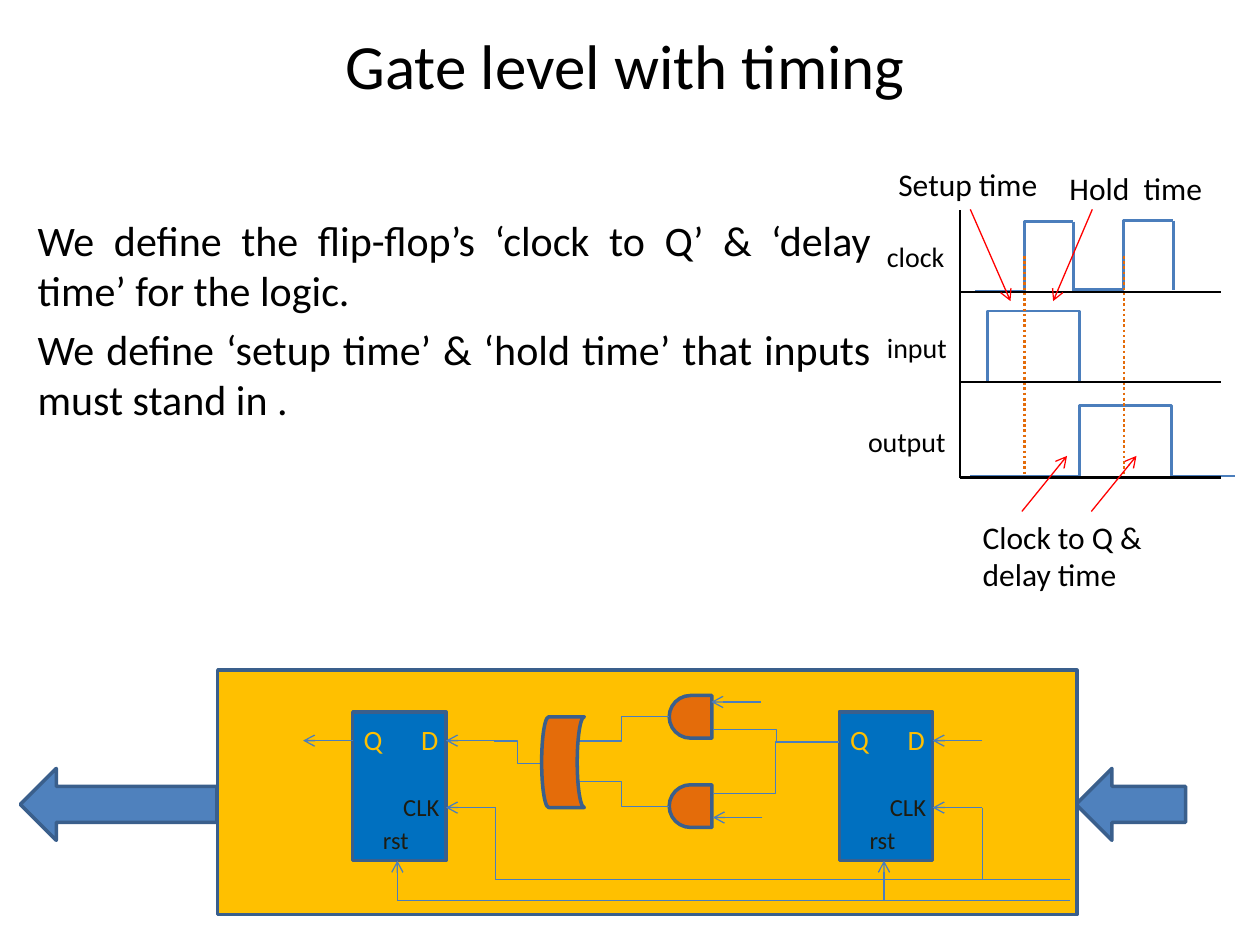
import pptx
import pptx.util
import pptx.dml.color
import pptx.enum.dml
import pptx.enum.shapes
import pptx.enum.text
import pptx.oxml
import pptx.oxml.ns

Cm, Pt = pptx.util.Cm, pptx.util.Pt
RGB = pptx.dml.color.RGBColor
KIND = pptx.enum.shapes.MSO_SHAPE
LINK = pptx.enum.shapes.MSO_CONNECTOR
ALIGN = pptx.enum.text.PP_ALIGN
ANCHOR = pptx.enum.text.MSO_ANCHOR

BLACK, RED = RGB(0, 0, 0), RGB(255, 0, 0)
BLUE, WIRE, EDGE = RGB(0x4F, 0x81, 0xBD), RGB(0x4B, 0x7E, 0xBC), RGB(0x3A, 0x5F, 0x8C)
GOLD, CHIP = RGB(0xFF, 0xC0, 0), RGB(0, 0x70, 0xC0)
ORANGE, DARK = RGB(0xE4, 0x6C, 0x0A), RGB(0x1E, 0x1C, 0x11)

# Content; all lengths in centimetres
TITLE = "Gate level with timing "
BODY = [
    "We define the flip-flop’s ‘clock to Q’ & ‘delay time’ for the logic.",
    "We define ‘setup time’ & ‘hold time’ that inputs must stand in .",
]
# Labels: lines, left, top, width, height, size
LABELS = [
    (["clock"], 17.63, 4.7, 1.68, 0.94, 16),
    (["input"], 17.63, 6.53, 1.73, 0.94, 16),
    (["output"], 17.25, 8.43, 2.08, 0.94, 16),
    (["Setup time"], 17.86, 3.2, 3.35, 1.02, 18),
    (["Hold  time"], 21.31, 3.28, 3.23, 1.02, 18),
    (["Clock to Q &", "delay time"], 19.56, 10.31, 3.91, 1.8, 18),
]
# Waves: x1, y1, x2, y2, place of the bend (None = straight)
WAVES = [
    (19.66, 5.87, 21.64, 4.47, 0.5), (21.64, 4.47, 21.64, 5.87, None),
    (21.64, 5.84, 23.65, 4.45, 0.5), (23.65, 4.45, 23.65, 5.84, None),
    (19.38, 7.7, 21.36, 6.27, 0.27), (20.75, 6.27, 23.5, 7.7, 0.37),
    (19.56, 9.6, 22.5, 8.18, 0.75), (22.5, 8.18, 24.89, 9.6, 0.47),
]
EDGES = [20.65, 22.66]
AXES = [9.63, 5.89, 7.7]
LEFT, RIGHT, TOP = 19.35, 24.61, 4.24
NOTES = [
    (19.56, 4.22, 20.37, 6.07), (22.02, 4.22, 21.23, 6.07),
    (20.6, 10.31, 21.51, 9.19), (22, 10.31, 22.91, 9.19),
]
ARROWS = [(0.41, 3.96), (21.69, 2.21)]
FLOPS = [7.11, 16.92]
FLOP_TOP, FLOP_W, FLOP_H = 14.35, 1.88, 3.0
# Pins: text, offset from the flip-flop, width, height, size, colour
PINS = [
    ("D", 1.13, 0.1, 0.86, 0.94, 16, GOLD),
    ("Q", -0.03, 0.1, 0.89, 0.94, 16, GOLD),
    ("CLK", 0.77, 1.5, 1.24, 0.86, 14, DARK),
    ("rst", 0.36, 2.15, 1.04, 0.86, 14, DARK),
]
GATE_X, GATE_W = 13.49, 0.86
GATES = [14.02, 15.82]
# Logic wires: x1, y1, x2, y2, bend
WIRES = [
    (13.49, 16.26, 11.56, 15.75, 0.5), (13.49, 14.45, 11.56, 14.94, 0.5),
    (9.96, 14.94, 10.92, 15.39, 0.5),
    (16.92, 14.96, 14.38, 14.71, 0.5), (16.79, 14.96, 14.38, 16, 0.48),
]
INPUTS = [(15.37, 16.48), (15.34, 14.15)]
D_Y, CLK_Y, CLK_BUS, RST_BUS, BUS_END = 14.93, 16.28, 17.73, 18.16, 21.56
STUB = 1.0

deck = pptx.Presentation()
deck.slide_width, deck.slide_height = Cm(25.4), Cm(19.05)
slide = deck.slides.add_slide(deck.slide_layouts[6])


def text(lines, x, y, w, h, size, color=BLACK, wrap=False, align=ALIGN.LEFT,
         anchor=ANCHOR.TOP, gap=0):
    box = slide.shapes.add_textbox(Cm(x), Cm(y), Cm(w), Cm(h))
    frame = box.text_frame
    frame.word_wrap, frame.vertical_anchor = wrap, anchor
    for i, line in enumerate(lines):
        par = frame.paragraphs[0] if i == 0 else frame.add_paragraph()
        par.alignment, par.space_before = align, Pt(gap)
        run = par.add_run()
        run.text = line
        run.font.name, run.font.size = "Calibri", Pt(size)
        run.font.color.rgb = color


def shape(kind, x, y, w, h, fill, turn=0):
    part = slide.shapes.add_shape(kind, Cm(x), Cm(y), Cm(w), Cm(h))
    part.shadow.inherit = False
    part.fill.solid()
    part.fill.fore_color.rgb = fill
    part.line.color.rgb, part.line.width = EDGE, Pt(2)
    part.rotation = turn


def line(x1, y1, x2, y2, bend=None, color=WIRE, width=0.75, head=False, dots=False):
    kind = LINK.STRAIGHT if bend is None else LINK.ELBOW
    link = slide.shapes.add_connector(kind, Cm(x1), Cm(y1), Cm(x2), Cm(y2))
    link.line.color.rgb, link.line.width = color, Pt(width)
    if dots:
        link.line.dash_style = pptx.enum.dml.MSO_LINE.ROUND_DOT
    props = link._element.spPr
    maker, qn = pptx.oxml.parse_xml, pptx.oxml.ns.qn
    space = pptx.oxml.ns.nsdecls("a")
    if bend is not None:
        geom = props.find(qn("a:prstGeom"))
        old = geom.find(qn("a:avLst"))
        if old is not None:
            geom.remove(old)
        geom.append(maker(f'<a:avLst {space}><a:gd name="adj1" '
                          f'fmla="val {round(bend * 100000)}"/></a:avLst>'))
    if head:
        props.find(qn("a:ln")).append(maker(f'<a:tailEnd {space} type="arrow"/>'))
    props.append(maker(f"<a:effectLst {space}/>"))


# Title and body
text([TITLE], 0.2, 0.1, 25.1, 2.41, 36, wrap=True, align=ALIGN.CENTER,
     anchor=ANCHOR.MIDDLE)
text(BODY, 0.51, 4.19, 17.3, 4.72, 24, wrap=True, align=ALIGN.JUSTIFY, gap=4.8)

# Timing chart
for wave in WAVES:
    line(*wave, width=1.5)
for x in EDGES:
    line(x, 5.16, x, 9.6, color=ORANGE, width=1.5, dots=True)
for y in AXES:
    line(LEFT, y, RIGHT, y, color=BLACK, width=1.5)
line(LEFT, AXES[0], LEFT, TOP, color=BLACK, width=1.5)
for label in LABELS:
    text(*label)
for note in NOTES:
    line(*note, color=RED, head=True)

# Circuit block, flip-flops and AND gates
for x, w in ARROWS:
    shape(KIND.RIGHT_ARROW, x, 15.49, w, 1.45, BLUE, 180)
shape(KIND.RECTANGLE, 4.39, 13.51, 17.32, 4.93, GOLD)
for x in FLOPS:
    shape(KIND.RECTANGLE, x, FLOP_TOP, FLOP_W, FLOP_H, CHIP)
    for name, dx, dy, *rest in PINS:
        text([name], x + dx, FLOP_TOP + dy, *rest)
for y in GATES:
    shape(KIND.FLOWCHART_DELAY, GATE_X, y, GATE_W, GATE_W, ORANGE, 180)

# Clock, reset and data wires of each flip-flop
for x in FLOPS:
    side = x + FLOP_W
    for y in (D_Y, CLK_Y):
        line(side + STUB, y, side, y, head=True)
    line(side + STUB, CLK_Y, side + STUB, CLK_BUS)
    line(x + 0.9, RST_BUS, x + 0.9, FLOP_TOP + FLOP_H, head=True)
line(FLOPS[0] + FLOP_W + STUB, CLK_BUS, BUS_END, CLK_BUS)
line(FLOPS[0] + 0.9, RST_BUS, BUS_END, RST_BUS)
line(FLOPS[0], D_Y, FLOPS[0] - STUB, D_Y, head=True)

# Logic wires, with the OR gate over them
for wire in WIRES:
    line(*wire)
for x, y in INPUTS:
    line(x, y, x - STUB, y, head=True)
shape(KIND.FLOWCHART_STORED_DATA, 10.92, 14.45, GATE_W, 1.83, ORANGE)

deck.save("out.pptx")
